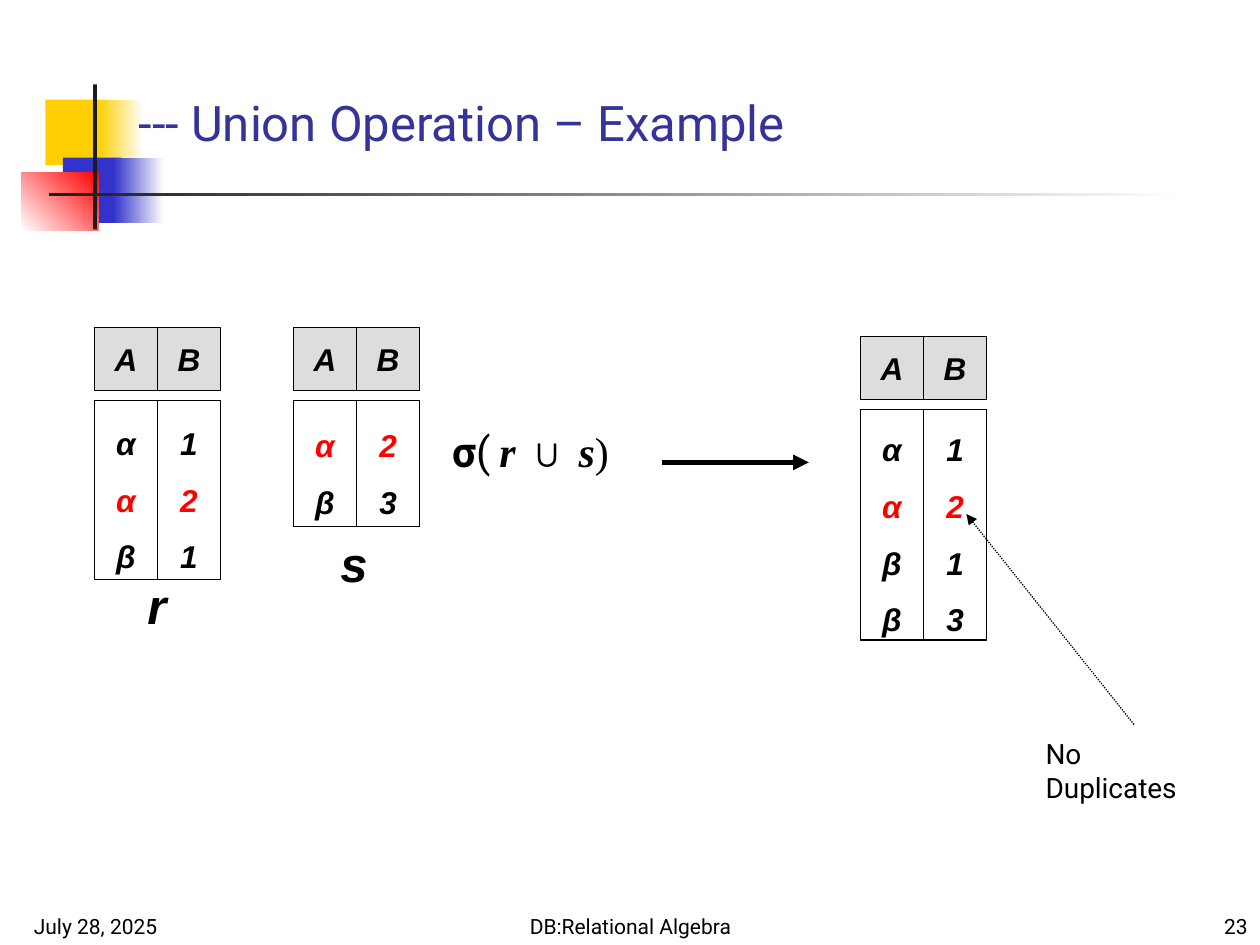
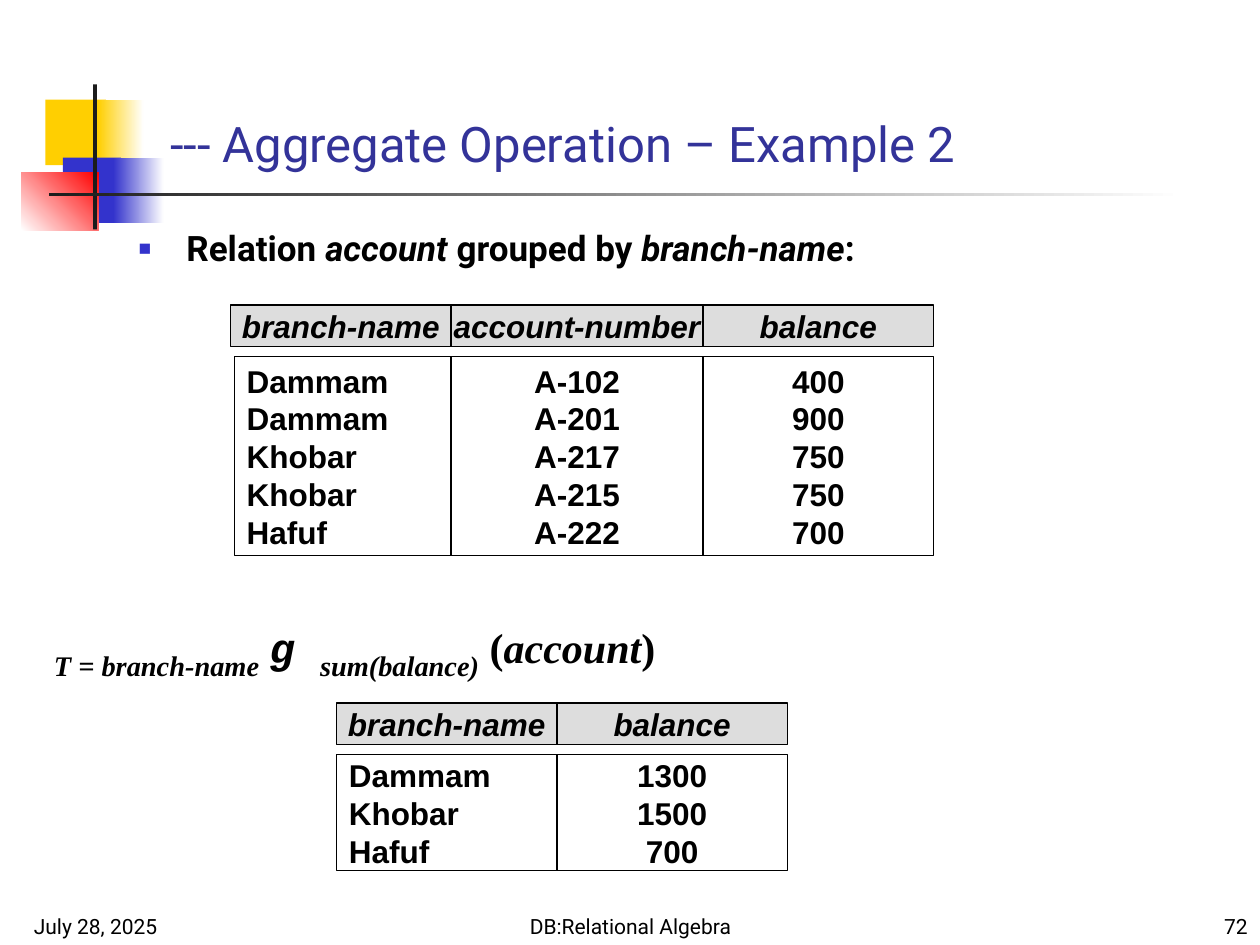
from dataclasses import dataclass

import pptx
import pptx.dml.color
import pptx.enum.dml
import pptx.enum.shapes
import pptx.enum.text
import pptx.oxml.ns
import pptx.util
from lxml import etree

Inches = pptx.util.Inches
Pt = pptx.util.Pt
qn = pptx.oxml.ns.qn
ALIGN = pptx.enum.text.PP_ALIGN
ANCHOR = pptx.enum.text.MSO_ANCHOR
RECTANGLE = pptx.enum.shapes.MSO_SHAPE.RECTANGLE


@dataclass(frozen=True)
class Theme:
    ink: str = "000000"
    paper: str = "FFFFFF"
    title: str = "333399"
    header: str = "DDDDDD"
    highlight: str = "FF0000"
    yellow: str = "FFCF01"
    blue: str = "3333CC"
    bar: str = "1C1C1C"
    sans: str = "Roboto"
    cell_font: str = "Arial"
    serif: str = "Times New Roman"
    mono: str = "Courier New"
    title_size: int = 28
    formula_size: int = 24
    body_size: int = 20
    cell_size: int = 18
    note_size: int = 16
    footer_size: int = 12


THEME = Theme()

# Band: left, top, width, height, colours along the gradient, angle
BAND = [
    (0.36, 0.79, 0.48, 0.52, [THEME.yellow], 0),
    (0.78, 0.79, 0.36, 0.52, [THEME.yellow, THEME.paper], 0),
    (0.5, 1.25, 0.46, 0.52, [THEME.blue], 0),
    (0.9, 1.25, 0.4, 0.52, [THEME.blue, THEME.paper], 0),
    (0.17, 1.37, 0.61, 0.46, [THEME.paper, THEME.highlight], 45),
    (0.74, 0.67, 0.03, 1.15, [THEME.bar], 0),
    (0.39, 1.53, 9, 0.03, [THEME.bar, THEME.paper], 0),
]
DATE = "July 28, 2025"
COURSE = "DB:Relational Algebra"

DUPLICATE = ("α", "2")
UNION_RELATIONS = [
    dict(left=0.75, top=2.6, body_height=1.42,
         rows=[("α", "1"), DUPLICATE, ("β", "1")]),
    dict(left=2.33, top=2.6, body_height=1,
         rows=[DUPLICATE, ("β", "3")]),
    dict(left=6.83, top=2.67, body_height=1.83,
         rows=[("α", "1"), DUPLICATE, ("β", "1"), ("β", "3")]),
]
RELATION_NAMES = [("r", (1.07, 4.52, 0.35, 0.57)), ("s", (2.6, 4.18, 0.42, 0.57))]
SERIF = dict(font=THEME.serif, bold=True)
UNION_FORMULA = [
    (" ", dict(SERIF, size=THEME.body_size)),
    ("σ", dict(bold=True)),
    ("(", {}),
    (" ", dict(SERIF, size=THEME.body_size)),
    ("r ", dict(SERIF, italic=True)),
    ("∪", SERIF),
    (" s", dict(SERIF, italic=True)),
    (")", dict(font=THEME.serif)),
]

GROUPING = [
    ("Relation ", {}),
    ("account", dict(italic=True)),
    (" grouped by ", {}),
    ("branch-name", dict(italic=True)),
    (":", {}),
]
ACCOUNTS = dict(
    left=1.83, top=2.42, body_height=1.58, first_shift=0.03,
    columns=[("branch-name", 1.75), ("account-number", 2), ("balance", 1.83)],
    rows=[
        ("Dammam", "A-102", "400"),
        ("Dammam", "A-201", "900"),
        ("Khobar", "A-217", "750"),
        ("Khobar", "A-215", "750"),
        ("Hafuf", "A-222", "700"),
    ],
)
TOTALS = dict(
    left=2.67, top=5.58, body_height=0.92,
    columns=[("branch-name", 1.75), ("balance", 1.83)],
    rows=[("Dammam", "1300"), ("Khobar", "1500"), ("Hafuf", "700")],
)
SUBSCRIPT = dict(size=28, italic=True, baseline=-25000)
AGGREGATE_FORMULA = [
    ("T = branch-name", SUBSCRIPT),
    (" ", {}),
    ("g ", dict(font=THEME.mono, italic=True)),
    ("sum(balance)", SUBSCRIPT),
    (" (", {}),
    ("account", dict(italic=True)),
    (")", {}),
]


def rgb(color):
    return pptx.dml.color.RGBColor.from_string(color)


def box(left, top, width, height):
    return [Inches(value) for value in (left, top, width, height)]


def add_run(paragraph, text, size, font=THEME.sans, color=THEME.ink,
            bold=False, italic=False, baseline=None):
    run = paragraph.add_run()
    run.text = text
    run.font.size = Pt(size)
    run.font.name = font
    run.font.bold = bold
    run.font.italic = italic
    run.font.color.rgb = rgb(color)
    if baseline:
        run._r.get_or_add_rPr().set("baseline", str(baseline))


def add_runs(paragraph, runs, **base):
    for text, style in runs:
        add_run(paragraph, text, **{**base, **style})


def add_text(slide, place, runs, align=ALIGN.LEFT, anchor=ANCHOR.TOP, wrap=True, **base):
    frame = slide.shapes.add_textbox(*box(*place)).text_frame
    frame.word_wrap = wrap
    frame.vertical_anchor = anchor
    frame.paragraphs[0].alignment = align
    add_runs(frame.paragraphs[0], runs, **base)


def fill_placeholder(placeholder, place, runs, anchor, **base):
    placeholder.left, placeholder.top, placeholder.width, placeholder.height = box(*place)
    frame = placeholder.text_frame
    frame.auto_size = pptx.enum.text.MSO_AUTO_SIZE.NONE
    frame.word_wrap = True
    frame.vertical_anchor = anchor
    paragraph = frame.paragraphs[0]
    paragraph.alignment = ALIGN.LEFT
    paragraph.space_before = Pt(0)
    add_runs(paragraph, runs, **base)
    return paragraph


def add_square_bullet(paragraph):
    properties = paragraph._p.get_or_add_pPr()
    properties.set("marL", str(Inches(0.38)))
    properties.set("indent", str(Inches(-0.38)))
    color = etree.SubElement(properties, qn("a:buClr"))
    etree.SubElement(color, qn("a:srgbClr"), val=THEME.blue)
    etree.SubElement(properties, qn("a:buSzPct"), val="60000")
    etree.SubElement(properties, qn("a:buFont"), typeface=THEME.cell_font)
    etree.SubElement(properties, qn("a:buChar"), char="■")


def add_band(master, slide):
    """Draw the band and hand it to the master, which all slides share."""
    for *place, colors, angle in BAND:
        block = slide.shapes.add_shape(RECTANGLE, *box(*place))
        block.shadow.inherit = False
        block.line.fill.background()
        if len(colors) == 1:
            block.fill.solid()
            block.fill.fore_color.rgb = rgb(colors[0])
        else:
            block.fill.gradient()
            block.fill.gradient_angle = angle
            for stop, color in zip(block.fill.gradient_stops, colors):
                stop.color.rgb = rgb(color)
        master.shapes.element.append(block.element)


def add_slide(prs, layout, title, title_place, number):
    slide = prs.slides.add_slide(prs.slide_layouts.get_by_name(layout))
    fill_placeholder(slide.shapes.title, title_place, [(title, {})], ANCHOR.BOTTOM,
                     size=THEME.title_size, color=THEME.title)
    for text, left, width, align in [
        (DATE, 0.17, 2.08, ALIGN.LEFT),
        (COURSE, 3.42, 3.17, ALIGN.CENTER),
        (number, 7.92, 2.08, ALIGN.RIGHT),
    ]:
        add_text(slide, (left, 7.08, width, 0.42), [(text, {})], align,
                 ANCHOR.BOTTOM, size=THEME.footer_size)
    return slide


def add_cell(slide, place, lines, fill, align=ALIGN.CENTER, spacing=None, italic=True):
    """Draw one bordered block; lines holds (text, colour) pairs."""
    cell = slide.shapes.add_shape(RECTANGLE, *box(*place))
    cell.shadow.inherit = False
    cell.fill.solid()
    cell.fill.fore_color.rgb = rgb(fill)
    cell.line.color.rgb = rgb(THEME.ink)
    cell.line.width = Pt(0.75)
    frame = cell.text_frame
    frame.word_wrap = align == ALIGN.LEFT
    frame.vertical_anchor = ANCHOR.MIDDLE
    for index, (text, color) in enumerate(lines):
        paragraph = frame.add_paragraph() if index else frame.paragraphs[0]
        paragraph.alignment = align
        if spacing:
            paragraph.line_spacing = spacing
        add_run(paragraph, text, THEME.cell_size, THEME.cell_font, color, True, italic)


def add_relation(slide, left, top, columns, rows, body_height, header_height=0.33,
                 first_shift=0, first_align=ALIGN.LEFT, spacing=None, italic=False):
    """Draw a relation as header blocks above one body block per attribute."""
    body_top = top + header_height + 0.08
    colors = [THEME.highlight if row == DUPLICATE else THEME.ink for row in rows]
    lefts = [left + sum(width for _, width in columns[:i]) for i in range(len(columns))]
    for x, (name, width) in zip(lefts, columns):
        add_cell(slide, (x, top, width, header_height), [(name, THEME.ink)], THEME.header)
    for i, (x, (_, width), values) in enumerate(zip(lefts, columns, zip(*rows))):
        shift, align = (0, ALIGN.CENTER) if i else (first_shift, first_align)
        add_cell(slide, (x + shift, body_top, width, body_height),
                 zip(values, colors), THEME.paper, align, spacing, italic)


def add_arrow(slide, start, end, weight, dash=None):
    arrow = slide.shapes.add_connector(
        pptx.enum.shapes.MSO_CONNECTOR.STRAIGHT, *box(*start, *end))
    arrow.line.color.rgb = rgb(THEME.ink)
    arrow.line.width = Pt(weight)
    if dash:
        arrow.line.dash_style = dash
    properties = arrow.element.spPr
    etree.SubElement(properties.find(qn("a:ln")), qn("a:tailEnd"), type="triangle")
    etree.SubElement(properties, qn("a:effectLst"))


def build_union(prs):
    slide = add_slide(prs, "Title Only", "--- Union Operation – Example",
                      (1, 0.58, 8.52, 0.67), "23")
    add_band(prs.slide_master, slide)
    add_text(slide, (3.42, 3.33, 1.83, 0.33), UNION_FORMULA, size=THEME.formula_size)
    for relation in UNION_RELATIONS:
        add_relation(slide, columns=[("A", 0.5), ("B", 0.5)], header_height=0.5,
                     first_align=ALIGN.CENTER, spacing=1.5, italic=True, **relation)
    for name, place in RELATION_NAMES:
        add_text(slide, place, [(name, {})], ALIGN.CENTER, ANCHOR.MIDDLE, wrap=False,
                 size=THEME.title_size, font=THEME.cell_font, bold=True, italic=True)
    add_arrow(slide, (5.25, 3.67), (6.42, 3.67), 3)
    add_text(slide, (8.2, 5.8, 1.55, 0.37), [("No Duplicates", {})], size=THEME.note_size)
    add_arrow(slide, (9, 5.75), (7.67, 4.08), 0.75,
              pptx.enum.dml.MSO_LINE_DASH_STYLE.ROUND_DOT)


def build_aggregate(prs):
    slide = add_slide(prs, "Title and Content", "--- Aggregate Operation – Example 2",
                      (1.25, 0.75, 8.52, 0.67), "72")
    grouping = fill_placeholder(slide.placeholders[1], (1, 1.75, 7.91, 0.41), GROUPING,
                                ANCHOR.TOP, size=THEME.body_size, bold=True)
    add_square_bullet(grouping)
    add_text(slide, (0.33, 4.83, 8.52, 0.45), AGGREGATE_FORMULA,
             size=THEME.formula_size, **SERIF)
    for relation in (ACCOUNTS, TOTALS):
        add_relation(slide, **relation)


def main():
    prs = pptx.Presentation()
    prs.slide_width, prs.slide_height = Inches(10), Inches(7.5)
    build_union(prs)
    build_aggregate(prs)
    prs.save("out.pptx")


if __name__ == "__main__":
    main()
